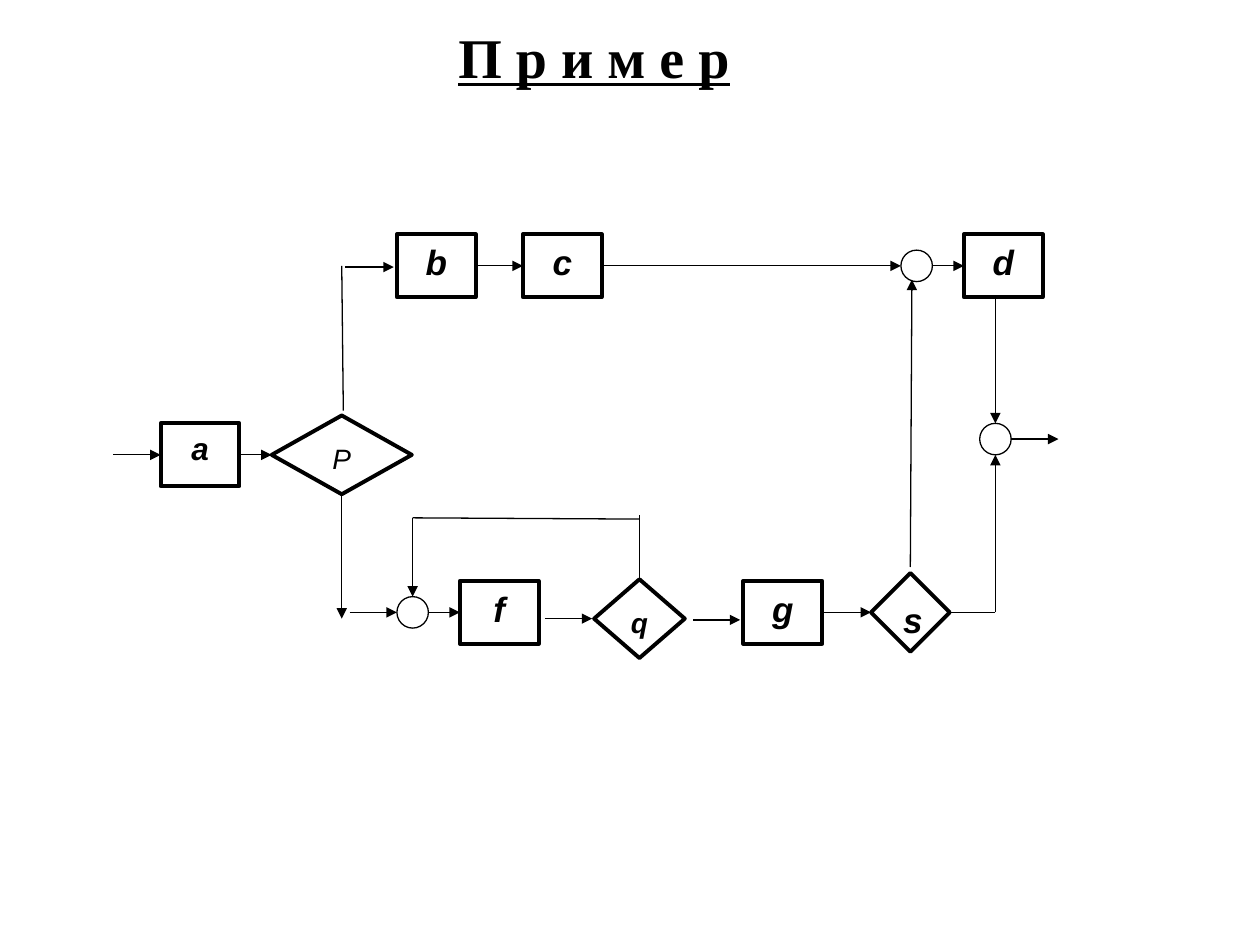
from lxml.etree import SubElement
from pptx import Presentation
from pptx.dml.color import RGBColor
from pptx.enum.shapes import MSO_CONNECTOR, MSO_SHAPE
from pptx.enum.text import MSO_ANCHOR, MSO_AUTO_SIZE, PP_ALIGN
from pptx.oxml.ns import qn
from pptx.util import Inches, Pt

BLACK, WHITE = "000000", "FFFFFF"
CELL, LEFT, TOP = 0.25, 0.9, 0.11
TITLE = "П р и м е р"

BOX = (MSO_SHAPE.RECTANGLE, 2.5, 2)
BOXES = [
    ("a", 2.75, 14, 18), ("b", 10.25, 8, 20), ("c", 14.25, 8, 20),
    ("d", 28.25, 8, 20), ("f", 12.25, 19, 20), ("g", 21.25, 19, 20),
]
DECISIONS = [
    ("P", 7.25, 14, 4.45, 16, False),
    ("q", 16.7, 19.2, 2.88, 16, True),
    ("s", 25.3, 19, 2.5, 20, True),
]
JOINS = [(9.5, 19), (25.5, 8), (28, 13.5)]

UP, BACK, DOWN, FORWARD = range(4)
ARROWS = [
    ((0, 14), ("a", BACK)),
    (("a", FORWARD), ("P", BACK)),
    (("P", DOWN), (7.25, 19.2)),
    ((7.35, 8.04), (8.9, 8.04)),
    (("b", FORWARD), ("c", BACK)),
    (("c", FORWARD), (25, 8)),
    ((26, 8), ("d", BACK)),
    ((28, 9), (28, 13)),
    ((28.5, 13.5), (30, 13.5)),
    ((7.5, 19), (9, 19)),
    ((10, 19), ("f", BACK)),
    ((13.7, 19.2), (15.2, 19.2)),
    ((18.4, 19.24), (19.9, 19.24)),
    (("g", FORWARD), ("s", BACK)),
    ((25.3, 17.56), (25.35, 8.44)),
    ((28, 19), (28, 14)),
    ((9.5, 16), (9.5, 18.5)),
]
PLAIN_LINES = [
    ((7.3, 12.6), (7.25, 8)),
    (("q", UP), (16.7, 15.92)),
    ((16.7, 16.04), (9.5, 16)),
    (("s", FORWARD), (28, 19)),
]


def color(value):
    return RGBColor.from_string(value)


def place(column, row):
    return Inches(LEFT + column * CELL), Inches(TOP + row * CELL)


def format_text(frame, font_name, size, bold, italic=False, underline=False):
    para = frame.paragraphs[0]
    para.alignment = PP_ALIGN.CENTER
    font = para.runs[0].font
    font.name, font.size = font_name, Pt(size)
    font.bold, font.italic, font.underline = bold, italic, underline
    font.color.rgb = color(BLACK)


def add_node(shapes, kind, column, row, columns, rows, line_width):
    left, top = place(column - columns / 2, row - rows / 2)
    node = shapes.add_shape(kind, left, top, Inches(columns * CELL), Inches(rows * CELL))
    node.shadow.inherit = False
    node.fill.solid()
    node.fill.fore_color.rgb = color(WHITE)
    node.line.color.rgb = color(BLACK)
    node.line.width = Pt(line_width)
    return node


def add_label(node, text, size, bold):
    frame = node.text_frame
    frame.text = text
    frame.word_wrap = True
    frame.vertical_anchor = MSO_ANCHOR.TOP
    format_text(frame, "Arial", size, bold, italic=True)


def locate(end, nodes):
    if end[0] not in nodes:
        return place(*end)
    node, side = nodes[end[0]], end[1]
    across = {UP: 0.5, BACK: 0, DOWN: 0.5, FORWARD: 1}[side]
    down = {UP: 0, BACK: 0.5, DOWN: 1, FORWARD: 0.5}[side]
    return int(node.left + node.width * across), int(node.top + node.height * down)


def add_line(shapes, start, end, nodes, arrow):
    line = shapes.add_connector(
        MSO_CONNECTOR.STRAIGHT, *locate(start, nodes), *locate(end, nodes))
    for point, connect in ((start, line.begin_connect), (end, line.end_connect)):
        if point[0] in nodes:
            connect(nodes[point[0]], point[1])
    line.line.color.rgb = color(BLACK)
    line.line.width = Pt(0.75)
    if arrow:
        SubElement(line.line._get_or_add_ln(), qn("a:tailEnd"), type="triangle")
    SubElement(line._element.spPr, qn("a:effectLst"))


def add_title(slide):
    title = slide.shapes.title
    title.left, title.top = Inches(1.91), Inches(0.12)
    title.width, title.height = Inches(5.61), Inches(0.64)
    frame = title.text_frame
    frame.text = TITLE
    frame.word_wrap = True
    frame.auto_size = MSO_AUTO_SIZE.NONE
    frame.vertical_anchor = MSO_ANCHOR.BOTTOM
    format_text(frame, "Times New Roman", 32, True, underline=True)


def main():
    deck = Presentation()
    deck.slide_width, deck.slide_height = Inches(10), Inches(7.5)
    slide = deck.slides.add_slide(deck.slide_layouts[5])
    add_title(slide)
    shapes = slide.shapes.add_group_shape().shapes
    nodes = {}
    for name, column, row, size in BOXES:
        kind, columns, rows = BOX
        nodes[name] = add_node(shapes, kind, column, row, columns, rows, 2.25)
        add_label(nodes[name], name, size, True)
    for name, column, row, columns, size, bold in DECISIONS:
        nodes[name] = add_node(
            shapes, MSO_SHAPE.FLOWCHART_DECISION, column, row, columns, 2.5, 2.25)
        add_label(nodes[name], name, size, bold)
    for column, row in JOINS:
        add_node(shapes, MSO_SHAPE.OVAL, column, row, 1, 1, 0.75)
    for lines, arrow in ((ARROWS, True), (PLAIN_LINES, False)):
        for start, end in lines:
            add_line(shapes, start, end, nodes, arrow)
    deck.save("out.pptx")


if __name__ == "__main__":
    main()
